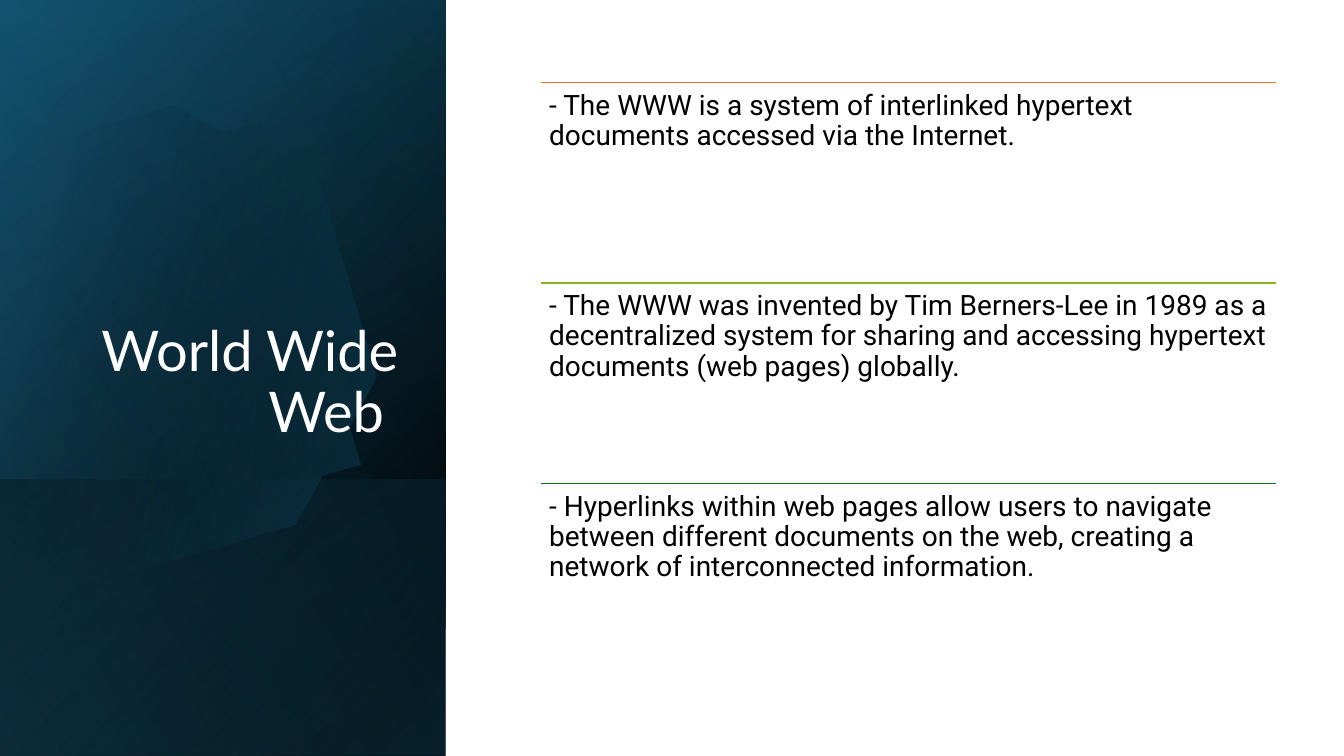
from math import cos, radians, sin

from lxml import etree
from pptx import Presentation
from pptx import util as u
from pptx.dml.color import RGBColor
from pptx.enum import shapes, text
from pptx.oxml import ns, parse_xml

BLACK = RGBColor(0x00, 0x00, 0x00)
WHITE = RGBColor(0xFF, 0xFF, 0xFF)
NAVY = RGBColor(0x10, 0x48, 0x62)
TEAL = RGBColor(0x15, 0x60, 0x82)
SKY = RGBColor(0x46, 0xB1, 0xE1)
ORANGE = RGBColor(0xE9, 0x71, 0x32)
LIME = RGBColor(0x8E, 0xB2, 0x1E)
GREEN = RGBColor(0x19, 0x6B, 0x24)

FACTS = [
    (ORANGE, "- The WWW is a system of interlinked hypertext documents accessed via the Internet."),
    (LIME, "- The WWW was invented by Tim Berners-Lee in 1989 as a decentralized system for "
           "sharing and accessing hypertext documents (web pages) globally."),
    (GREEN, "- Hyperlinks within web pages allow users to navigate between different documents "
            "on the web, creating a network of interconnected information."),
]

DISC_TILT = 16.1
DISC_CENTRE = (4.03, 8.5)
DISC_START = (3.78, 2.79)
DISC_RIGHT = [
    [(6.25, 2.84), (8.51, 4.5), (9.22, 6.99)],
    [(10.11, 10.08), (8.33, 13.28), (5.26, 14.17)],
    [(3.33, 14.73), (1.35, 14.25), (-0.08, 13.06)],
]
DISC_CUT = [(-0.38, 12.78), (-0.38, 4.45), (0, 4.09)]
DISC_TOP = [
    [(0.58, 3.61), (1.27, 3.25), (2.03, 3.02)],
    [(2.62, 2.87), (3.2, 2.79), DISC_START],
]


def paint_gradient(shape, stops, angle):
    """Fill a shape with (position, colour, opacity) stops and drop its line and shadow."""
    shape.shadow.inherit = False
    shape.line.fill.background()
    shape.fill.gradient()
    marks = "".join(
        f'<a:gs pos="{position * 1000}"><a:srgbClr val="{colour}">'
        f'<a:alpha val="{opacity * 1000}"/></a:srgbClr></a:gs>'
        for position, colour, opacity in stops
    )
    gradient = parse_xml(
        f'<a:gradFill {ns.nsdecls("a")} rotWithShape="1"><a:gsLst>{marks}</a:gsLst>'
        f'<a:lin ang="{angle * 60000}" scaled="0"/></a:gradFill>'
    )
    properties = shape.element.spPr
    properties.replace(properties.find(ns.qn("a:gradFill")), gradient)


def add_wash(slide, left, top, width, height, stops, angle, flipped=True):
    """Cover the given box with a rectangle turned by a quarter."""
    wash = slide.shapes.add_shape(
        shapes.MSO_SHAPE.RECTANGLE,
        u.Cm(left + (width - height) / 2), u.Cm(top + (height - width) / 2),
        u.Cm(height), u.Cm(width),
    )
    wash.rotation = 90
    if flipped:
        wash.element.spPr.xfrm.set("flipH", "1")
    paint_gradient(wash, stops, angle)


def curve_points(start, curves, steps=16):
    """Return points along a chain of cubic curves."""
    points = []
    for first, second, end in curves:
        for step in range(1, steps + 1):
            t = step / steps
            weights = ((1 - t) ** 3, 3 * t * (1 - t) ** 2, 3 * t * t * (1 - t), t ** 3)
            corners = (start, first, second, end)
            points.append(tuple(sum(w * c[axis] for w, c in zip(weights, corners))
                                for axis in (0, 1)))
        start = end
    return points


def add_disc(slide, left, top):
    """Draw the tilted, cut-off disc relative to the corner of the panel."""
    outline = ([DISC_START] + curve_points(DISC_START, DISC_RIGHT)
               + DISC_CUT + curve_points(DISC_CUT[-1], DISC_TOP))
    tilt = radians(DISC_TILT)
    centre_x, centre_y = DISC_CENTRE
    turned = [
        (left + centre_x + (x - centre_x) * cos(tilt) - (y - centre_y) * sin(tilt),
         top + centre_y + (x - centre_x) * sin(tilt) + (y - centre_y) * cos(tilt))
        for x, y in outline
    ]
    builder = slide.shapes.build_freeform(*turned[0], scale=u.Cm(1))
    builder.add_line_segments(turned[1:], close=True)
    disc = builder.convert_to_shape()
    disc.rotation = 360 - DISC_TILT
    paint_gradient(disc, [(29, BLACK, 0), (100, TEAL, 43)], 30)


def add_title_panel(slide, left, top, width, height):
    """Build the dark panel with the slide title."""
    box = (left, top, width, height)
    add_wash(slide, *box, [(8, BLACK, 100), (100, NAVY, 100)], 50)
    add_wash(slide, *box, [(0, BLACK, 0), (99, TEAL, 46)], 30)
    foot = 6.96
    add_wash(slide, left, top + height - foot, width, foot,
             [(2, TEAL, 29), (100, BLACK, 30)], 130, flipped=False)
    add_disc(slide, left, top)
    add_wash(slide, *box, [(0, BLACK, 0), (99, SKY, 11)], 120)

    title = slide.shapes.title
    title.element.getparent().append(title.element)
    title.left, title.top = u.Cm(left + 1.63), u.Cm(top + 4.67)
    title.width, title.height = u.Cm(8.66), u.Cm(6.65)
    frame = title.text_frame
    frame.text = "World Wide Web "
    frame.word_wrap = True
    frame.auto_size = text.MSO_AUTO_SIZE.NONE
    frame.vertical_anchor = text.MSO_ANCHOR.BOTTOM
    heading = frame.paragraphs[0]
    heading.alignment = text.PP_ALIGN.RIGHT
    heading.line_spacing = 0.9
    heading.font.name = "Lato"
    heading.font.size = u.Pt(40)
    heading.font.color.rgb = WHITE


def add_facts(slide, left, top, width, height):
    """Stack the facts in equal rows, each under a coloured rule."""
    group = slide.shapes.add_group_shape()
    row = height / len(FACTS)
    for index, (colour, wording) in enumerate(FACTS):
        row_top = u.Cm(top + index * row)
        rule = group.shapes.add_connector(
            shapes.MSO_CONNECTOR.STRAIGHT, u.Cm(left), row_top, u.Cm(left + width), row_top)
        rule.line.color.rgb = colour
        rule.line.width = u.Pt(1)
        etree.SubElement(rule.element.spPr, ns.qn("a:effectLst"))

        fact = group.shapes.add_textbox(u.Cm(left), row_top, u.Cm(width), u.Cm(row))
        frame = fact.text_frame
        frame.word_wrap = True
        frame.margin_left = frame.margin_right = u.Cm(0.21)
        frame.margin_top = frame.margin_bottom = u.Cm(0.21)
        frame.text = wording
        sentence = frame.paragraphs[0]
        sentence.alignment = text.PP_ALIGN.LEFT
        sentence.line_spacing = 0.9
        sentence.space_after = u.Pt(7)
        sentence.font.name = "Roboto"
        sentence.font.size = u.Pt(20)
        sentence.font.color.rgb = BLACK


def main():
    """Build and save the presentation."""
    deck = Presentation()
    deck.slide_width, deck.slide_height = u.Cm(33.87), u.Cm(19.05)
    slide = deck.slides.add_slide(deck.slide_layouts[5])
    add_title_panel(slide, 0, 0, 11.23, 19.05)
    add_facts(slide, 13.63, 2.08, 18.53, 15.16)
    deck.save("out.pptx")


if __name__ == "__main__":
    main()
